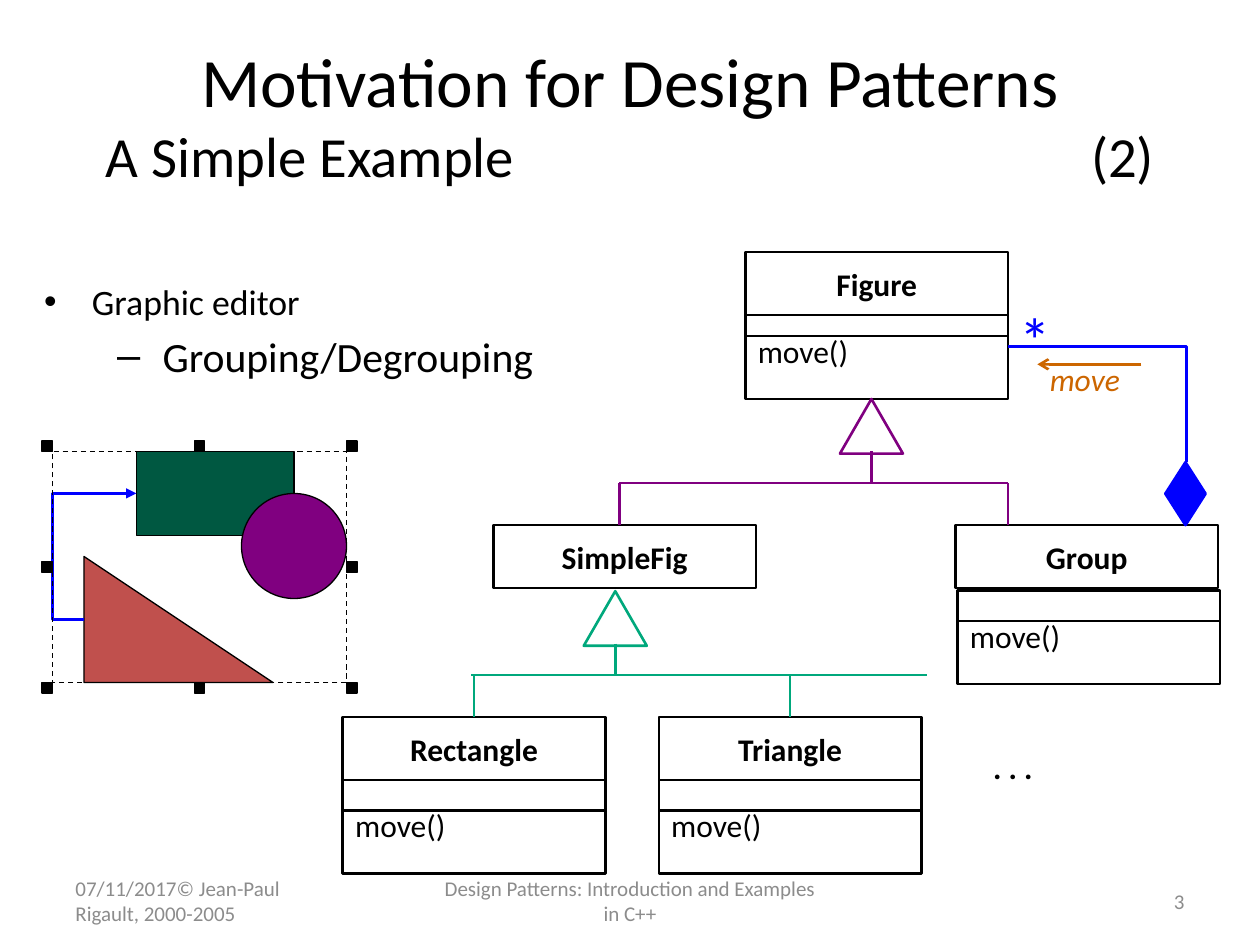
from dataclasses import dataclass
from itertools import product

from lxml.etree import SubElement
from pptx import Presentation
from pptx.dml.color import RGBColor
from pptx.enum.dml import MSO_LINE
from pptx.enum.shapes import MSO_CONNECTOR, MSO_SHAPE
from pptx.enum.text import MSO_ANCHOR, MSO_AUTO_SIZE, PP_ALIGN
from pptx.oxml.ns import qn
from pptx.util import Inches, Pt

CELL = Inches(1) // 12
CLASS_COLUMNS, NAME_ROWS, METHOD_ROWS = 25, 6, 6
BLACK, GRAY, BLUE, ORANGE = "000000", "8C8C8C", "0000FF", "CC6600"
PURPLE, GREEN = "800080", "00A87C"


@dataclass(frozen=True)
class Area:
    """A rectangle measured in grid columns and rows."""
    column: float
    row: float
    columns: float
    rows: float

    def lengths(self) -> list[int]:
        return [round(n * CELL) for n in (self.column, self.row, self.columns, self.rows)]


@dataclass(frozen=True)
class Style:
    """The look of a piece of text."""
    size: float = 18
    color: str = BLACK
    bold: bool = False
    italic: bool = False


@dataclass(frozen=True)
class ClassBox:
    """A class with an optional attribute and method part."""
    name: str
    column: float
    row: float
    attribute_rows: float = 0
    shift: tuple[float, float] = (0, 0)


@dataclass(frozen=True)
class Label:
    """A free text on the page."""
    text: str
    area: Area
    style: Style
    align: PP_ALIGN = PP_ALIGN.LEFT
    anchor: MSO_ANCHOR = MSO_ANCHOR.TOP
    wrap: bool = False


@dataclass(frozen=True)
class Inheritance:
    """A hollow arrowhead, its stem, and the bar that joins the subclasses."""
    head: Area
    stem_row: float
    bar_row: float
    bar_ends: tuple[float, float]
    color: str


CLASSES = [
    ClassBox("Figure", 71, 24, 2),
    ClassBox("SimpleFig", 47, 50),
    ClassBox("Group", 91, 50, 2.9, (0.2, 0.25)),
    ClassBox("Rectangle", 32.65, 68.3, 2.9),
    ClassBox("Triangle", 62.75, 68.3, 2.9),
]
FIGURE_TREE = Inheritance(Area(80, 38, 6, 5.2), 43, 46, (59, 96), PURPLE)
SIMPLE_TREE = Inheritance(Area(55.6, 56.3, 6, 5.2), 61.3, 64.3, (44.9, 88.3), GREEN)
FOOTER = Style(12, GRAY)
LABELS = [
    Label("07/11/2017© Jean-Paul Rigault, 2000-2005", Area(6, 83.4, 28, 4.8),
          FOOTER, PP_ALIGN.LEFT, MSO_ANCHOR.MIDDLE, True),
    Label("Design Patterns: Introduction and Examples in C++", Area(41, 83.4, 38, 4.8),
          FOOTER, PP_ALIGN.CENTER, MSO_ANCHOR.MIDDLE, True),
    Label("3", Area(86, 83.4, 28, 4.8), FOOTER, PP_ALIGN.RIGHT, MSO_ANCHOR.MIDDLE, True),
    Label("*", Area(95.9, 28, 4.8, 8.5), Style(36, BLUE)),
    Label("move", Area(98.8, 33.7, 10.4, 4.9), Style(color=ORANGE, italic=True)),
    Label(". . .", Area(93.4, 70.6, 8.2, 6.8), Style(bold=True)),
]


def rgb(color: str) -> RGBColor:
    return RGBColor.from_string(color)


def add_span(para, text: str, style: Style) -> None:
    span = para.add_run()
    span.text = text
    font = span.font
    font.name, font.size = "Calibri", Pt(style.size)
    font.bold, font.italic = style.bold, style.italic
    font.color.rgb = rgb(style.color)


def format_outline(shape, fill: str | None, line: str, width: float) -> None:
    shape.shadow.inherit = False
    if fill:
        shape.fill.solid()
        shape.fill.fore_color.rgb = rgb(fill)
    else:
        shape.fill.background()
    shape.line.color.rgb = rgb(line)
    shape.line.width = Pt(width)


def add_outline(page, kind, area: Area, fill=None, line=BLACK, width: float = 1.5):
    shape = page.shapes.add_shape(kind, *area.lengths())
    format_outline(shape, fill, line, width)
    return shape


def add_line(page, start, end, color: str, kind=MSO_CONNECTOR.STRAIGHT, head=None):
    points = [round(n * CELL) for n in (*start, *end)]
    line = page.shapes.add_connector(kind, *points)
    line.line.color.rgb = rgb(color)
    line.line.width = Pt(1.5)
    if head:
        SubElement(line.line._get_or_add_ln(), qn("a:tailEnd"), type=head)
    SubElement(line._element.spPr, qn("a:effectLst"))
    return line


def write(box, text: str, style: Style, align=PP_ALIGN.LEFT,
          anchor=MSO_ANCHOR.TOP, wrap: bool = True):
    frame = box.text_frame
    frame.word_wrap, frame.vertical_anchor = wrap, anchor
    para = frame.paragraphs[0]
    para.alignment = align
    add_span(para, text, style)
    return para


def add_label(page, label: Label) -> None:
    box = page.shapes.add_textbox(*label.area.lengths())
    write(box, label.text, label.style, label.align, label.anchor, label.wrap)


def add_class(page, item: ClassBox):
    name = add_outline(page, MSO_SHAPE.RECTANGLE,
                       Area(item.column, item.row, CLASS_COLUMNS, NAME_ROWS))
    write(name, item.name, Style(bold=True), PP_ALIGN.CENTER, MSO_ANCHOR.MIDDLE)
    if item.attribute_rows:
        column = item.column + item.shift[0]
        row = item.row + NAME_ROWS + item.shift[1]
        add_outline(page, MSO_SHAPE.RECTANGLE,
                    Area(column, row, CLASS_COLUMNS, item.attribute_rows))
        method = add_outline(page, MSO_SHAPE.RECTANGLE,
                             Area(column, row + item.attribute_rows, CLASS_COLUMNS, METHOD_ROWS))
        write(method, "move()", Style()).line_spacing = 0.7
    return name


def add_inheritance(page, tree: Inheritance) -> None:
    middle = tree.head.column + tree.head.columns / 2
    left, right = tree.bar_ends
    add_outline(page, MSO_SHAPE.ISOSCELES_TRIANGLE, tree.head, line=tree.color)
    add_line(page, (middle, tree.stem_row), (middle, tree.bar_row), tree.color)
    add_line(page, (left, tree.bar_row), (right, tree.bar_row), tree.color)


def fill_placeholders(page) -> None:
    title, body = page.placeholders
    title.left, title.top, title.width, title.height = Area(6, 3.6, 108, 15).lengths()
    body.left, body.top, body.width, body.height = Area(3, 26, 50, 12).lengths()
    para = write(title, "Motivation for Design Patterns", Style(39.6),
                 PP_ALIGN.CENTER, MSO_ANCHOR.BOTTOM)
    para.add_line_break()
    add_span(para, "A Simple Example\t(2)", Style(32.4))
    tabs = SubElement(para._p.get_or_add_pPr(), qn("a:tabLst"))
    SubElement(tabs, qn("a:tab"), pos=str(Inches(8.32)), algn="r")
    first = write(body, "Graphic editor", Style(20.4))
    second = body.text_frame.add_paragraph()
    second.level = 1
    add_span(second, "Grouping/Degrouping", Style(23.8))
    for item, margin, indent in ((first, 0.38, -0.38), (second, 0.94, -0.36)):
        properties = item._p.get_or_add_pPr()
        properties.set("marL", str(Inches(margin)))
        properties.set("indent", str(Inches(indent)))
    for box in (title, body):
        box.text_frame.auto_size = MSO_AUTO_SIZE.NONE


def add_drawing(page) -> None:
    rectangle = add_outline(page, MSO_SHAPE.RECTANGLE, Area(13, 43, 15, 8), "005841", width=0.75)
    add_outline(page, MSO_SHAPE.OVAL, Area(23, 47, 10, 10), PURPLE, width=0.75)
    triangle = add_outline(page, MSO_SHAPE.RIGHT_TRIANGLE, Area(8, 53, 18, 12), "C0504D", width=0.75)
    link = add_line(page, (8, 59), (13, 47), BLUE, MSO_CONNECTOR.ELBOW, "triangle")
    link.begin_connect(triangle, 1)
    link.end_connect(rectangle, 1)
    guides = link._element.spPr.find(qn("a:prstGeom")).find(qn("a:avLst"))
    SubElement(guides, qn("a:gd"), name="adj1", fmla="val -60000")
    frame = add_outline(page, MSO_SHAPE.RECTANGLE, Area(5, 43, 28, 22), width=0.75)
    frame.line.dash_style = MSO_LINE.DASH
    for column, row in product((4, 18.5, 33), (42, 53.5, 65)):
        if (column, row) != (18.5, 53.5):
            add_outline(page, MSO_SHAPE.RECTANGLE, Area(column, row, 1, 1), BLACK, width=0.75)


def add_diagram(page) -> None:
    names = {item.name: add_class(page, item) for item in CLASSES}
    for tree in (FIGURE_TREE, SIMPLE_TREE):
        add_inheritance(page, tree)
    for column in FIGURE_TREE.bar_ends:
        add_line(page, (column, FIGURE_TREE.bar_row), (column, 50), PURPLE)
    for item in CLASSES[3:]:
        middle = item.column + CLASS_COLUMNS / 2
        drop = add_line(page, (middle, SIMPLE_TREE.bar_row), (middle, item.row), GREEN)
        drop.end_connect(names[item.name], 0)
    diamond = add_outline(page, MSO_SHAPE.DIAMOND, Area(109.9, 45.1, 6, 3.84), BLUE, BLUE)
    diamond.rotation = 90
    builder = page.shapes.build_freeform(113, 44, scale=CELL)
    builder.add_line_segments([(113, 33), (96, 33)], close=False)
    format_outline(builder.convert_to_shape(), None, BLUE, 1.5)
    add_line(page, (108.7, 34.7), (98.8, 34.7), ORANGE, head="arrow")


def main() -> None:
    """Build the slide and save it."""
    deck = Presentation()
    deck.slide_width, deck.slide_height = 120 * CELL, 90 * CELL
    page = deck.slides.add_slide(deck.slide_layouts[1])
    fill_placeholders(page)
    add_drawing(page)
    add_diagram(page)
    for label in LABELS:
        add_label(page, label)
    deck.save("out.pptx")


if __name__ == "__main__":
    main()
